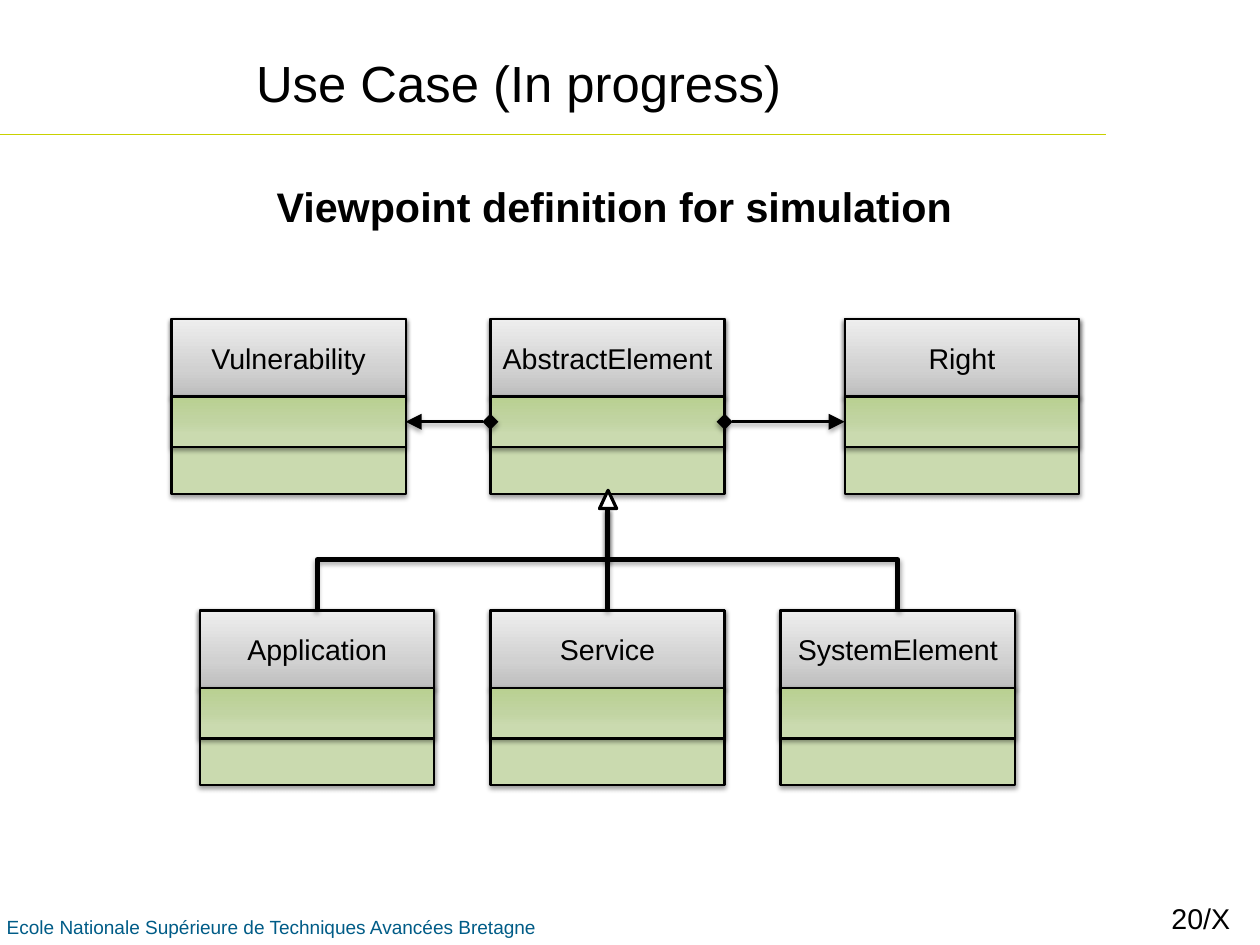
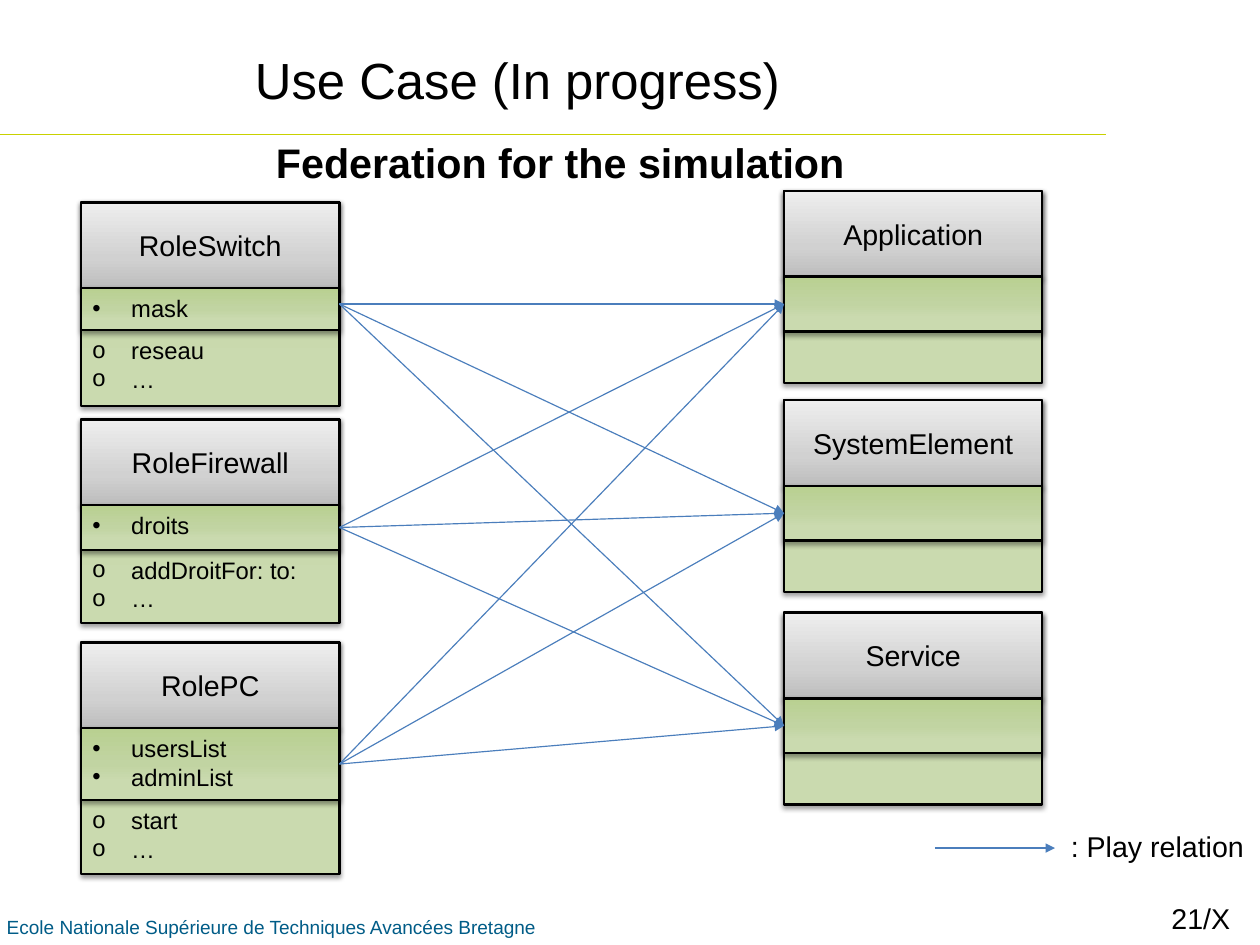
from dataclasses import dataclass

from lxml.etree import SubElement
from pptx import Presentation
from pptx.dml.color import RGBColor
from pptx.enum.shapes import MSO_CONNECTOR, MSO_SHAPE
from pptx.enum.text import MSO_ANCHOR, PP_ALIGN
from pptx.oxml import parse_xml
from pptx.oxml.ns import nsdecls, qn
from pptx.util import Cm, Inches, Pt


@dataclass(frozen=True)
class Theme:
    font: str = "Arial"
    ink: str = "000000"
    paper: str = "FFFFFF"
    rule: str = "C8D100"
    footer: str = "005C87"
    relation: str = "4B7EBC"
    # Gradients run from the bottom edge to the top edge.
    header: tuple = ((0, "BDBDBD"), (35, "D1D1D1"), (100, "EEEEEE"))
    member: tuple = ((25, "CADAAF"), (50, "C1D4A2"), (100, "B9D091"))
    title_size: int = 32
    heading_size: int = 26
    label_size: int = 18
    member_size: int = 15
    footer_size: int = 12


THEME = Theme()
WIDTH, HEIGHT = Cm(28), Cm(21)
FOOTER = "Ecole Nationale Supérieure de Techniques Avancées Bretagne"
TITLE = "Use Case (In progress)"

# Class diagram
CLASS_WIDTH = 2.05
DIAGRAM_SIZES = {"width": CLASS_WIDTH, "header": 0.68, "band": 0.44, "total": 1.53}
PARENT_TOP, CHILD_TOP = 2.79, 5.34
PARENTS = {"Vulnerability": 1.5, "AbstractElement": 4.29, "Right": 7.39}
CHILDREN = ["Application", "Service", "SystemElement"]
CHILD_LEFT, CHILD_STEP = 1.75, 2.54
ARROW_BASE = 4.45

# Federation: roles on the left play elements on the right
ROLE_LEFT, ELEMENT_LEFT = 0.71, 6.86
FEDERATION_SIZES = {"width": 2.26, "header": 0.75}
ROLES = [
    {"name": "RoleSwitch", "top": 1.77, "band": 0.37, "total": 1.78, "port": "body",
     "attributes": ["mask"], "operations": ["reseau", "…"]},
    {"name": "RoleFirewall", "top": 3.67, "band": 0.39, "total": 1.78, "port": "band",
     "attributes": ["droits"], "operations": ["addDroitFor: to:", "…"]},
    {"name": "RolePC", "top": 5.62, "band": 0.63, "total": 2.03, "port": "band",
     "attributes": ["usersList", "adminList"], "operations": ["start", "…"]},
]
ELEMENTS = {"Application": 1.67, "SystemElement": 3.5, "Service": 5.36}


def apply(target, **values):
    for name, value in values.items():
        setattr(target, name, value)


def box(left, top, width, height):
    return [Inches(value) for value in (left, top, width, height)]


def write(shape, lines, size, color=THEME.ink, bold=False, align=PP_ALIGN.LEFT,
          anchor=MSO_ANCHOR.TOP, wrap=True, bullet=None):
    frame = shape.text_frame
    apply(frame, text="\n".join(lines), word_wrap=wrap, vertical_anchor=anchor)
    for paragraph in frame.paragraphs:
        paragraph.alignment = align
        for run in paragraph.runs:
            apply(run.font, name=THEME.font, size=Pt(size), bold=bold)
            run.font.color.rgb = RGBColor.from_string(color)
        if bullet:
            properties = paragraph._p.get_or_add_pPr()
            properties.set("marL", str(Inches(0.34)))
            properties.set("indent", str(-Inches(0.34)))
            SubElement(properties, qn("a:buFont"), typeface=THEME.font)
            SubElement(properties, qn("a:buChar"), char=bullet)
    return shape


def add_text(slide, place, lines, size, **style):
    return write(slide.shapes.add_textbox(*box(*place)), lines, size, **style)


def set_shadow(shape, alpha=None):
    """Give the shape a soft drop shadow, or none when alpha is missing."""
    properties = shape.element.spPr
    for old in properties.findall(qn("a:effectLst")):
        properties.remove(old)
    effects = SubElement(properties, qn("a:effectLst"))
    if alpha:
        shadow = SubElement(effects, qn("a:outerShdw"), blurRad=str(Pt(3.1)),
                            dist=str(Pt(1.6)), dir="5400000", rotWithShape="0")
        color = SubElement(shadow, qn("a:srgbClr"), val=THEME.ink)
        SubElement(color, qn("a:alpha"), val=str(alpha * 1000))


def set_line(shape, color, width):
    shape.line.color.rgb = RGBColor.from_string(color)
    shape.line.width = Pt(width)


def set_gradient(shape, stops):
    colors = "".join(
        f'<a:gs pos="{position * 1000}"><a:srgbClr val="{color}"/></a:gs>'
        for position, color in stops)
    gradient = parse_xml(
        f'<a:gradFill {nsdecls("a")} rotWithShape="1"><a:gsLst>{colors}</a:gsLst>'
        '<a:lin ang="16200000" scaled="0"/></a:gradFill>')
    shape.element.spPr.find(qn("a:prstGeom")).addnext(gradient)


def add_compartment(slide, place, stops):
    shape = slide.shapes.add_shape(MSO_SHAPE.RECTANGLE, *box(*place))
    set_gradient(shape, stops)
    set_line(shape, THEME.ink, 1.5)
    set_shadow(shape, 38)
    return shape


def add_class(slide, name, left, top, width, header, band, total,
              attributes=(), operations=()):
    """Draw a class box and return its compartments by role."""
    band_top = top + header
    parts = {
        "body": add_compartment(slide, (left, top, width, total), THEME.member),
        "header": add_compartment(slide, (left, top, width, header), THEME.header),
        "band": add_compartment(slide, (left, band_top, width, band), THEME.member),
    }
    write(parts["header"], [name], THEME.label_size, align=PP_ALIGN.CENTER,
          anchor=MSO_ANCHOR.MIDDLE, wrap=False)
    if attributes:
        write(parts["band"], attributes, THEME.member_size, bullet="•")
    if operations:
        add_text(slide, (left, band_top + band, width, 0.61), operations,
                 THEME.member_size, bullet="o")
    return parts


def add_line(slide, start, end, color, width, kind=MSO_CONNECTOR.STRAIGHT,
             head=None, tail=None, arrow_size="med", shadow=None):
    line = slide.shapes.add_connector(kind, *box(*start, *end))
    set_line(line, color, width)
    for tag, arrow in (("a:headEnd", head), ("a:tailEnd", tail)):
        if arrow:
            SubElement(line.line._get_or_add_ln(), qn(tag), type=arrow,
                       w=arrow_size, len=arrow_size)
    set_shadow(line, shadow)
    return line


def join(slide, source, source_side, target, target_side, *style, **ends):
    line = add_line(slide, (0, 0), (1, 1), *style, **ends)
    line.begin_connect(source, source_side)
    line.end_connect(target, target_side)


def add_riser(slide, start, end):
    """Elbow that leaves upwards, crosses, and goes up again to its end."""
    run, rise = end[0] - start[0], start[1] - end[1]
    middle_x, middle_y = (start[0] + end[0]) / 2, (start[1] + end[1]) / 2
    line = add_line(slide, (middle_x - rise / 2, middle_y - run / 2),
                    (middle_x + rise / 2, middle_y + run / 2),
                    THEME.ink, 3, kind=MSO_CONNECTOR.ELBOW, shadow=35)
    line.element.spPr.find(qn("a:xfrm")).set("rot", "16200000")


def add_shared_parts(slide):
    """Draw the rule and footer, then move them to the slide's layout."""
    rule = add_line(slide, (0, 1.18), (9.68, 1.18), THEME.rule, 0.75)
    footer = add_text(slide, (-0.04, 7.96, 11.02, 0.34), [FOOTER],
                      THEME.footer_size, color=THEME.footer)
    for part in (rule, footer):
        slide.slide_layout.shapes.element.append(part.element)


def add_slide(presentation, number, title_place, heading, heading_place):
    slide = presentation.slides.add_slide(presentation.slide_layouts[5])
    title = slide.shapes.title
    for name, value in zip(("left", "top", "width", "height"), box(*title_place)):
        setattr(title, name, value)
    write(title, [TITLE], THEME.title_size, anchor=MSO_ANCHOR.MIDDLE)
    add_text(slide, (10.15, 7.83, 0.88, 0.44), [f"{number}/X"], THEME.label_size)
    add_text(slide, heading_place, [heading], THEME.heading_size, bold=True,
             align=PP_ALIGN.CENTER, wrap=False)
    return slide


def draw_viewpoint(slide):
    parents = {name: add_class(slide, name, left, PARENT_TOP, **DIAGRAM_SIZES)
               for name, left in PARENTS.items()}
    lefts = [CHILD_LEFT + CHILD_STEP * column for column in range(len(CHILDREN))]
    children = {name: add_class(slide, name, left, CHILD_TOP, **DIAGRAM_SIZES)
                for name, left in zip(CHILDREN, lefts)}

    for target, side, far_side in (("Right", 3, 1), ("Vulnerability", 1, 3)):
        join(slide, parents["AbstractElement"]["band"], side,
             parents[target]["band"], far_side, THEME.ink, 2,
             head="diamond", tail="triangle", arrow_size="lg", shadow=35)

    middle = PARENTS["AbstractElement"] + CLASS_WIDTH / 2
    stem = add_line(slide, (middle, CHILD_TOP), (middle, ARROW_BASE),
                    THEME.ink, 3, shadow=35)
    stem.begin_connect(children["Service"]["header"], 0)
    for left in (lefts[0], lefts[-1]):
        add_riser(slide, (left + CLASS_WIDTH / 2, CHILD_TOP), (middle, ARROW_BASE))
    arrow = slide.shapes.add_shape(MSO_SHAPE.ISOSCELES_TRIANGLE,
                                   *box(middle - 0.07, ARROW_BASE - 0.16, 0.15, 0.16))
    arrow.fill.solid()
    arrow.fill.fore_color.rgb = RGBColor.from_string(THEME.paper)
    set_line(arrow, THEME.ink, 2)
    set_shadow(arrow)


def draw_federation(slide):
    ports = []
    for role in ROLES:
        details = {key: value for key, value in role.items() if key != "port"}
        parts = add_class(slide, left=ROLE_LEFT, **details, **FEDERATION_SIZES)
        ports.append(parts[role["port"]])
    elements = [add_class(slide, name, ELEMENT_LEFT, top, band=0.48, total=1.68,
                          **FEDERATION_SIZES)
                for name, top in ELEMENTS.items()]
    for port in ports:
        for element in elements:
            join(slide, port, 3, element["band"], 1, THEME.relation, 0.75,
                 tail="triangle")
    add_line(slide, (8.18, 7.42), (9.23, 7.42), THEME.relation, 0.75, tail="triangle")
    add_text(slide, (9.27, 7.2, 1.75, 0.41), [": Play relation"], THEME.label_size,
             wrap=False)


def main():
    presentation = Presentation()
    apply(presentation, slide_width=WIDTH, slide_height=HEIGHT)
    viewpoint = add_slide(presentation, 20, (2.14, 0.38, 7.98, 0.68),
                          "Viewpoint definition for simulation", (2.28, 1.54, 6.2, 0.55))
    add_shared_parts(viewpoint)
    draw_viewpoint(viewpoint)
    federation = add_slide(presentation, 21, (2.13, 0.35, 7.83, 0.68),
                           "Federation for the simulation", (2.28, 1.15, 5.25, 0.55))
    draw_federation(federation)
    presentation.save("out.pptx")


if __name__ == "__main__":
    main()
